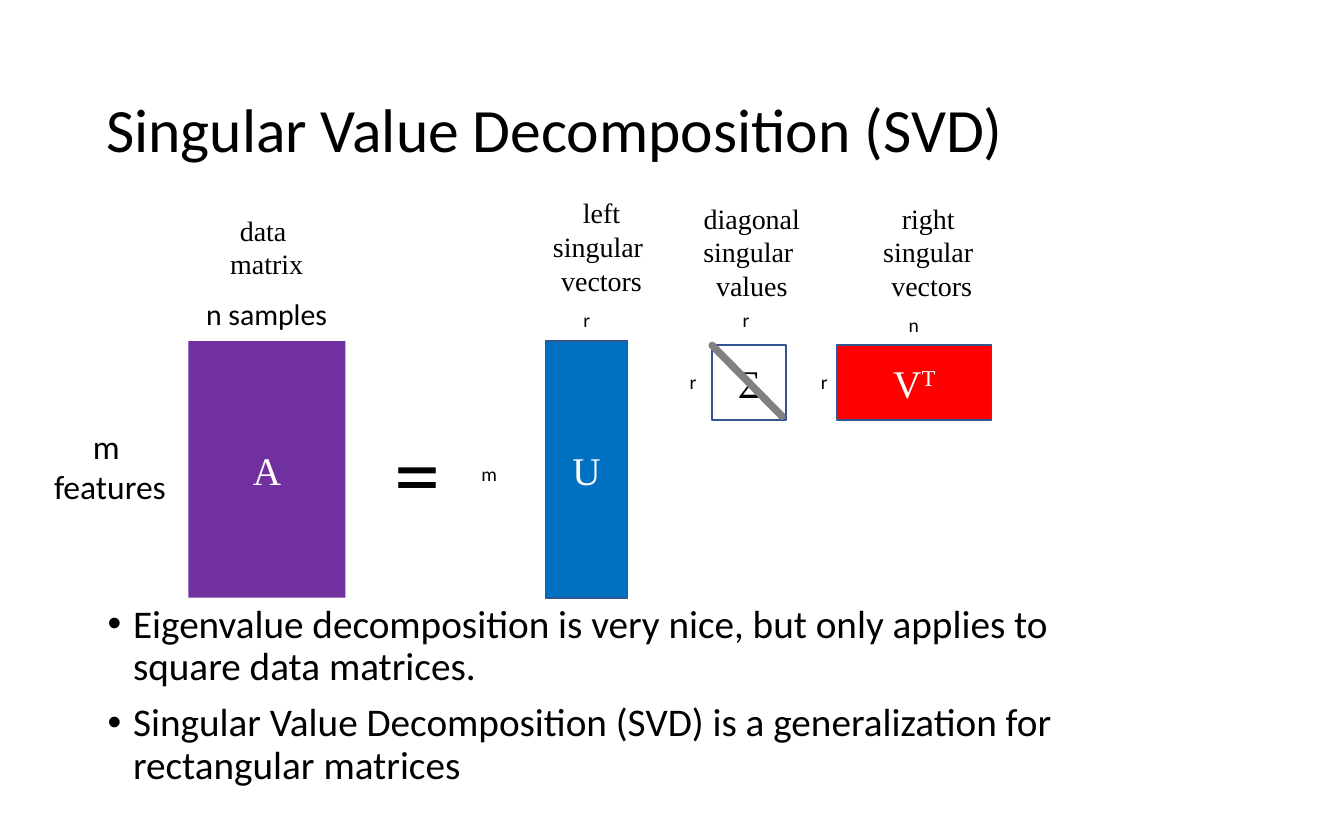
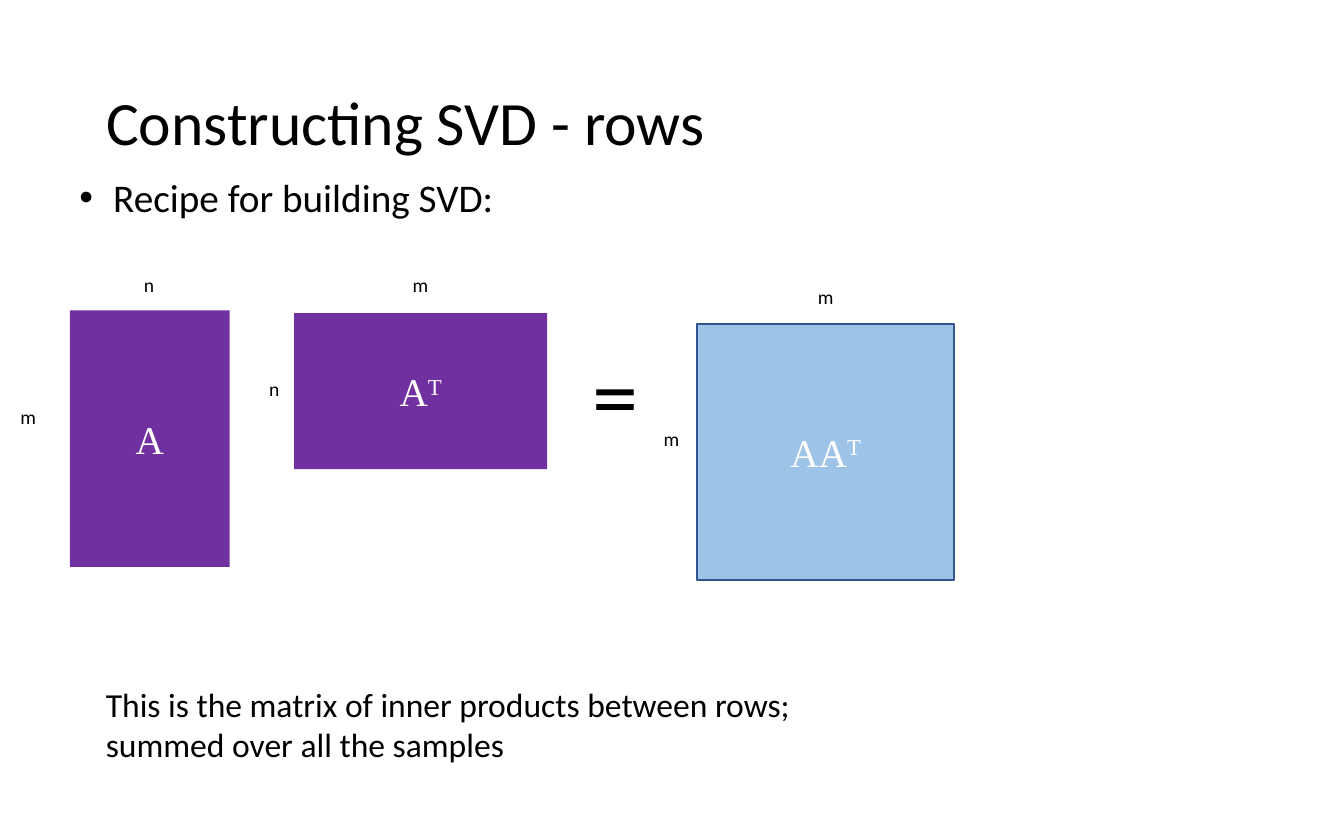
from lxml import etree
from pptx import Presentation
from pptx import util as u
from pptx.dml import color
from pptx.enum import shapes, text
from pptx.oxml import ns

COLORS = {
    "black": "000000",
    "white": "FFFFFF",
    "data": "7030A0",
    "left": "0070C0",
    "right": "FF0000",
    "product": "9DC3E6",
    "outline": "325491",
    "diagonal": "808080",
}
SANS, SERIF = "Calibri", "Times New Roman"
LABEL_HEIGHT = 0.71
MATRIX_SIDE = 4.85  # drawn length of dimension m


def rgb(name):
    return color.RGBColor.from_string(COLORS[name])


def cm(*lengths):
    return [u.Cm(length) for length in lengths]


# Text
def write(frame, lines, size=18, font=SANS, fill="black", align=text.PP_ALIGN.LEFT,
          spacing=None, gap=0, hanging=0, superscript=""):
    """Write one paragraph per line, with an optional raised ending on the last."""
    for index, line in enumerate(lines):
        paragraph = frame.paragraphs[0] if index == 0 else frame.add_paragraph()
        paragraph.alignment = align
        paragraph.line_spacing = spacing
        paragraph.space_before = u.Pt(gap if index else 0)
        if hanging:
            properties = paragraph._p.get_or_add_pPr()
            properties.set("marL", str(u.Cm(hanging)))
            properties.set("indent", str(-u.Cm(hanging)))
        last = index == len(lines) - 1
        for content in (line, superscript if last else ""):
            if not content:
                continue
            run = paragraph.add_run()
            run.text = content
            run.font.name = font
            run.font.size = u.Pt(size)
            run.font.color.rgb = rgb(fill)
        if last and superscript:
            run._r.get_or_add_rPr().set("baseline", "30000")


def place(shape, left, top, width, height):
    shape.left, shape.top, shape.width, shape.height = cm(left, top, width, height)


def add_title(slide, title, top):
    shape = slide.shapes.title
    place(shape, 1.75, top, 21.89, 3.07)
    shape.text_frame.auto_size = text.MSO_AUTO_SIZE.NONE
    shape.text_frame.vertical_anchor = text.MSO_ANCHOR.MIDDLE
    write(shape.text_frame, [title], size=33, spacing=0.9)


def add_list(slide, lines, box, **style):
    shape = slide.placeholders[1]
    place(shape, *box)
    shape.text_frame.auto_size = text.MSO_AUTO_SIZE.NONE
    write(shape.text_frame, lines, size=21, **style)
    return shape.text_frame


def add_text(slide, lines, box, wrap=False, **style):
    frame = slide.shapes.add_textbox(*cm(*box)).text_frame
    frame.word_wrap = wrap
    frame.auto_size = text.MSO_AUTO_SIZE.SHAPE_TO_FIT_TEXT
    write(frame, lines, **style)


def add_dimension(slide, letter, left, top, width):
    add_text(slide, [letter], (left, top, width, LABEL_HEIGHT), size=10.5,
             align=text.PP_ALIGN.CENTER)


def add_heading(slide, lines, box):
    add_text(slide, lines, box, size=15, font=SERIF, align=text.PP_ALIGN.CENTER)


def add_equals(slide, left, top):
    add_text(slide, ["="], (left, top, 1.4, 2.36), size=49.5)


# Matrices
def add_matrix(slide, name, box, fill, outlined=True, ink="white", superscript=""):
    shape = slide.shapes.add_shape(shapes.MSO_SHAPE.RECTANGLE, *cm(*box))
    shape.shadow.inherit = False
    shape.fill.solid()
    shape.fill.fore_color.rgb = rgb(fill)
    if outlined:
        shape.line.color.rgb = rgb("outline")
        shape.line.width = u.Pt(1)
    else:
        shape.line.fill.background()
    shape.text_frame.vertical_anchor = text.MSO_ANCHOR.MIDDLE
    write(shape.text_frame, [name], size=21, font=SERIF, fill=ink,
          align=text.PP_ALIGN.CENTER, superscript=superscript)


def add_diagonal(slide, start, end):
    line = slide.shapes.add_connector(shapes.MSO_CONNECTOR.STRAIGHT, *cm(*start, *end))
    line.line.color.rgb = rgb("diagonal")
    line.line.width = u.Pt(4)
    line.get_or_add_ln().set("cap", "rnd")
    etree.SubElement(line._element.spPr, ns.qn("a:effectLst"))


# Slides
def build_decomposition(slide):
    add_title(slide, "Singular Value Decomposition (SVD)", 0.97)
    add_list(slide, [
        "Eigenvalue decomposition is very nice, but only applies to square data matrices.",
        "Singular Value Decomposition (SVD) is a generalization for rectangular matrices",
    ], (1.78, 11.3, 19.33, 4.57), spacing=0.9, gap=7.5, hanging=0.48)

    # Data matrix
    add_matrix(slide, "A", (3.56, 6.45, 2.97, MATRIX_SIDE), "data", outlined=False)
    add_text(slide, ["m ", "features"], (0.76, 7.92, 2.64, 1.8),
             align=text.PP_ALIGN.CENTER)
    add_text(slide, ["n samples"], (3.63, 5.46, 2.82, 0.94), size=16,
             align=text.PP_ALIGN.CENTER)
    add_equals(slide, 7.21, 7.72)

    # Factors
    add_matrix(slide, "U", (10.31, 6.45, 1.55, MATRIX_SIDE), "left")
    add_matrix(slide, "V", (15.82, 6.53, 2.92, 1.42), "right", superscript="T")
    add_matrix(slide, "Σ", (13.46, 6.53, 1.4, 1.42), "white", ink="black")
    add_diagonal(slide, (13.46, 6.53), (14.78, 7.87))

    for dimension in (
        ("m", 8.84, 8.61, 0.81),
        ("r", 10.77, 5.69, 0.64),
        ("r", 12.95, 6.86, 0.3),
        ("r", 13.92, 5.69, 0.36),
        ("r", 15.11, 6.86, 0.94),
        ("n", 16.89, 5.79, 0.76),
    ):
        add_dimension(slide, *dimension)

    add_heading(slide, ["data ", "matrix"], (4.09, 3.91, 1.9, 1.55))
    for first, last, left, top in (
        ("left", "vectors", 10.19, 3.58),
        ("diagonal", "values", 13.03, 3.68),
        ("right ", "vectors", 16.43, 3.68),
    ):
        add_heading(slide, [first, "singular ", last], (left, top, 2.36, 2.18))


def build_rows(slide):
    add_title(slide, "Constructing SVD - rows", 0.84)
    frame = add_list(slide, ["Recipe for building SVD:"], (1.32, 3.35, 19.33, 0.99),
                     spacing=0.8, hanging=0.64)
    frame.margin_left = frame.margin_right = u.Cm(0.18)
    frame.margin_top = frame.margin_bottom = u.Cm(0.1)

    # Product of the data matrix and its transpose
    add_matrix(slide, "A", (1.32, 5.87, 3.02, MATRIX_SIDE), "data", outlined=False)
    add_matrix(slide, "A", (5.56, 5.92, 4.78, 2.95), "data", outlined=False,
               superscript="T")
    add_equals(slide, 10.95, 6.25)
    add_matrix(slide, "AA", (13.18, 6.12, MATRIX_SIDE, MATRIX_SIDE), "product",
               superscript="T")

    for dimension in (
        ("m", 0.13, 7.54, 0.81),
        ("n", 2.46, 5.03, 0.71),
        ("n", 4.83, 7.01, 0.71),
        ("m", 7.54, 5.03, 0.81),
        ("m", 12.22, 7.95, 0.94),
        ("m", 15.21, 5.26, 0.76),
    ):
        add_dimension(slide, *dimension)

    add_text(slide, ["This is the matrix of inner products between rows; "
                     "summed over all the samples"],
             (1.75, 12.8, 14.25, 1.8), wrap=True)


def main():
    presentation = Presentation()
    presentation.slide_width, presentation.slide_height = cm(25.4, 15.88)
    layout = presentation.slide_layouts[1]
    for build in (build_decomposition, build_rows):
        build(presentation.slides.add_slide(layout))
    presentation.save("out.pptx")


if __name__ == "__main__":
    main()
